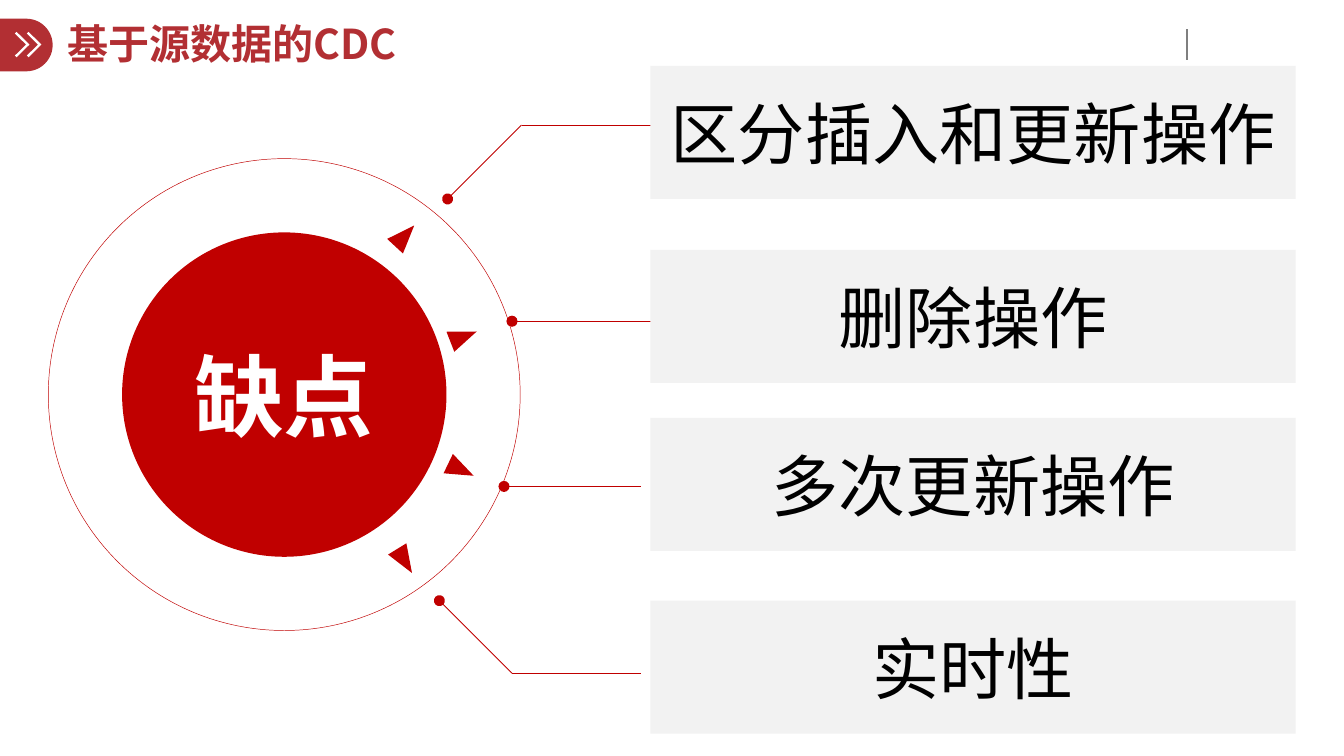
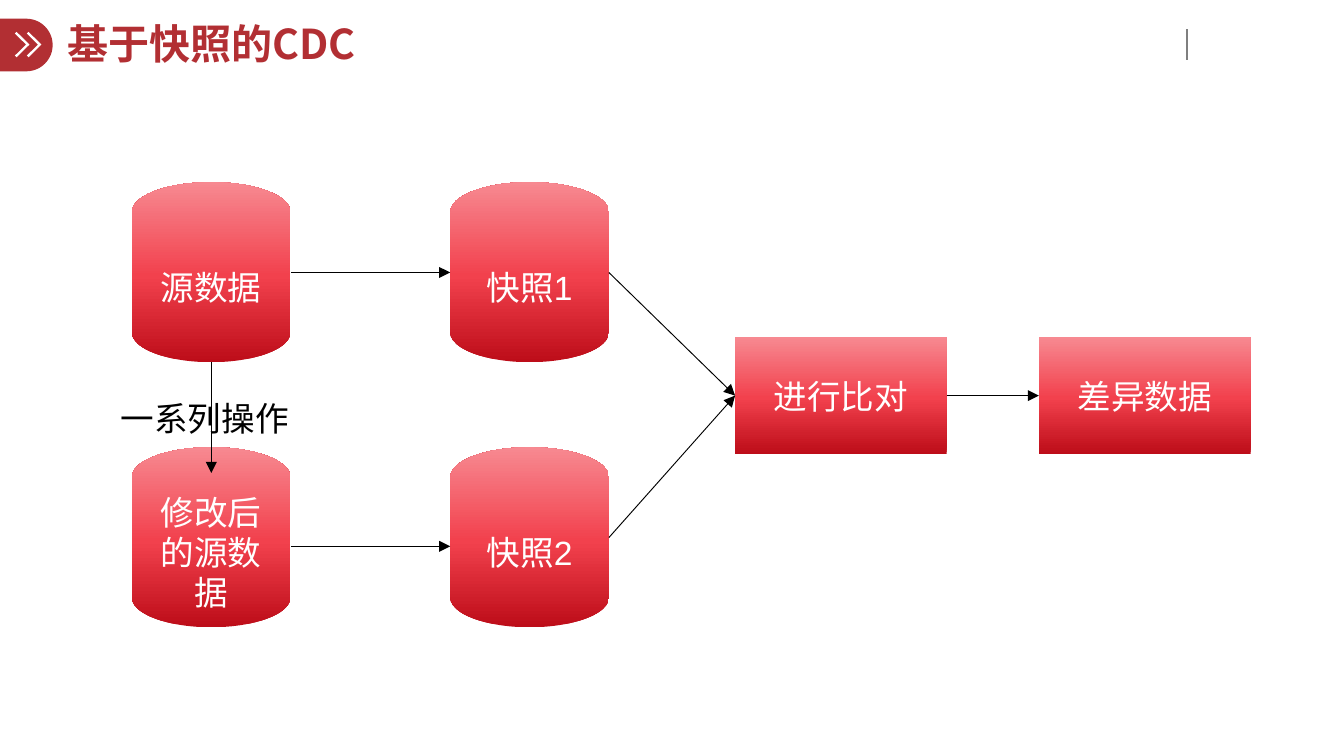
"""Build two slides on change data capture: drawbacks and the snapshot method."""
from copy import deepcopy

from lxml import etree
from pptx import Presentation
from pptx.dml.color import RGBColor
from pptx.enum.shapes import MSO_CONNECTOR, MSO_SHAPE
from pptx.enum.text import MSO_ANCHOR, MSO_AUTO_SIZE, PP_ALIGN
from pptx.oxml.ns import qn
from pptx.util import Pt

STRAIGHT = MSO_CONNECTOR.STRAIGHT
DELAY = MSO_SHAPE.FLOWCHART_DELAY
DISK = MSO_SHAPE.FLOWCHART_MAGNETIC_DISK
OVAL = MSO_SHAPE.OVAL
RECT = MSO_SHAPE.RECTANGLE
TRIANGLE = MSO_SHAPE.ISOSCELES_TRIANGLE
MIDDLE, TOP = MSO_ANCHOR.MIDDLE, MSO_ANCHOR.TOP
GROW, FIXED = MSO_AUTO_SIZE.SHAPE_TO_FIT_TEXT, MSO_AUTO_SIZE.NONE
LEFT, CENTER = PP_ALIGN.LEFT, PP_ALIGN.CENTER

COLORS = {
    "brand": "B22F33", "accent": "C00000", "panel": "F2F2F2", "rule": "7F7F7F",
    "white": "FFFFFF", "black": "000000",
    "deep": "BD0D19", "mid": "F2414D", "light": "F78991",
}
RGB = {name: RGBColor.from_string(value) for name, value in COLORS.items()}
GRADIENT = [(0, "deep"), (0.48, "mid"), (1, "light")]
CJK = "Noto Sans CJK SC"


def style(sp, fill=None, text="", size=18, color="white", font="Arial",
          bold=False, align=CENTER, anchor=MIDDLE):
    """Give a shape its flat or gradient fill and its text."""
    sp.shadow.inherit = False
    sp.line.fill.background()
    if fill == "gradient":
        sp.fill.gradient()
        sp.fill.gradient_angle = 90
        stops = sp._element.spPr.find(".//" + qn("a:gsLst"))
        stops.append(deepcopy(stops[0]))
        for stop, (position, name) in zip(sp.fill.gradient_stops, GRADIENT):
            stop.position = position
            stop.color.rgb = RGB[name]
    elif fill:
        sp.fill.solid()
        sp.fill.fore_color.rgb = RGB[fill]
    else:
        sp.fill.background()
    if text:
        tf = sp.text_frame
        tf.text = text
        tf.word_wrap = True
        tf.vertical_anchor = anchor
        p = tf.paragraphs[0]
        p.alignment = align
        r = p.runs[0]
        r.font.name = font
        r.font.size = Pt(size)
        r.font.bold = bold
        r.font.color.rgb = RGB[color]
        etree.SubElement(r._r.rPr, qn("a:ea"), typeface=CJK)
    return sp


def add_line(s, start, end, color, width, head=None, tail=None):
    """Draw a straight connector with optional end marks."""
    c = s.shapes.add_connector(STRAIGHT, *map(Pt, start + end))
    c.line.width = Pt(width)
    c.line.color.rgb = RGB[color]
    spPr = c._element.spPr
    for tag, kind in (("a:headEnd", head), ("a:tailEnd", tail)):
        if kind:
            etree.SubElement(spPr.find(qn("a:ln")), qn(tag), type=kind)
    etree.SubElement(spPr, qn("a:effectLst"))
    return c


prs = Presentation()
prs.slide_width, prs.slide_height = Pt(720), Pt(405)

slides = []
for title in ("基于源数据的CDC", "基于快照的CDC"):
    s = prs.slides.add_slide(prs.slide_layouts[5])
    slides.append(s)
    sp = s.shapes.title
    sp.left, sp.top, sp.width, sp.height = Pt(31), Pt(10.6), Pt(525.6), Pt(28.8)
    style(sp, None, title, 22, "brand", CJK, True, LEFT)
    sp.text_frame.auto_size = FIXED
    sp.text_frame.margin_left = sp.text_frame.margin_right = Pt(5.2)
    sp.text_frame.margin_top = sp.text_frame.margin_bottom = Pt(2.6)
    sp.text_frame.paragraphs[0].line_spacing = 0.9
    style(s.shapes.add_shape(DELAY, 0, Pt(10), Pt(28.2), Pt(28.2)), "brand")
    add_line(s, (635.8, 15.8), (635.8, 32.4), "rule", 1)
    for x in (14.4, 8):
        chevron = [(x + dx, 23.9 + dy) for dx, dy in
                   ((0, -5.9), (0.9, -6.8), (7.8, 0), (0.9, 6.8), (0, 5.9), (6, 0))]
        points = [(Pt(px), Pt(py)) for px, py in chevron]
        builder = s.shapes.build_freeform(*points[0])
        builder.add_line_segments(points[1:])
        style(builder.convert_to_shape(), "white")

s = slides[0]
for radius, fill in ((86.9, "accent"), (126.4, None)):
    sp = s.shapes.add_shape(OVAL, Pt(152.3 - radius), Pt(211.4 - radius),
                            Pt(2 * radius), Pt(2 * radius))
    style(sp, fill)
sp.line.color.rgb = RGB["accent"]
sp.line.width = Pt(0.25)

for x, y, angle in ((211, 118.8, 42.8), (242.6, 172.8, 68.7),
                    (241.2, 244.1, 115.6), (211, 293, 148.4)):
    sp = s.shapes.add_shape(TRIANGLE, Pt(x), Pt(y), Pt(11.5), Pt(15.1))
    sp.rotation = angle
    style(sp, "accent")

for route in ([(239.8, 106.6), (279.4, 67), (348.5, 67)],
              [(274.3, 172.1), (348.5, 172.1)],
              [(270, 260.6), (343.4, 260.6)],
              [(235.4, 321.8), (274.3, 360.7), (343.4, 360.7)]):
    head = "oval"
    for start, end in zip(route, route[1:]):
        add_line(s, start, end, "accent", 0.5, head)
        head = None

for y, text in ((35.3, "区分插入和更新操作"), (133.9, "删除操作"),
                (223.9, "多次更新操作"), (321.8, "实时性")):
    sp = s.shapes.add_shape(RECT, Pt(348.5), Pt(y), Pt(345.6), Pt(71.3))
    style(sp, "panel", text, 36, "black")
    sp.text_frame.margin_left = sp.text_frame.margin_right = Pt(9)
    sp.text_frame.margin_top = sp.text_frame.margin_bottom = Pt(5)

sp = s.shapes.add_textbox(Pt(92.2), Pt(182.9), Pt(119.5), Pt(58.3))
style(sp, None, "缺点", 48, "white", CJK, True, anchor=TOP)
tf = sp.text_frame
tf.margin_left = tf.margin_right = tf.margin_top = tf.margin_bottom = 0
tf.auto_size = GROW

s = slides[1]
for x, y, text in ((70.6, 97.6, "源数据"), (70.6, 239.6, "修改后的源数据"),
                   (241.2, 97.6, "快照1"), (241.2, 239.6, "快照2")):
    sp = s.shapes.add_shape(DISK, Pt(x), Pt(y), Pt(85), Pt(96.5))
    style(sp, "gradient", text)

steps = []
for x, text in ((393.8, "进行比对"), (556.6, "差异数据")):
    sp = s.shapes.add_shape(RECT, Pt(x), Pt(180.6), Pt(113.4), Pt(62.7))
    steps.append(style(sp, "gradient", text))
compare, difference = steps

for start, end in (((113.2, 193.9), (113.2, 253.4)),
                   ((156, 146), (241.2, 146)),
                   ((156, 292.7), (241.2, 292.7))):
    add_line(s, start, end, "black", 0.5, tail="triangle")
for y in (288, 146):
    c = add_line(s, (326.2, y), (393.8, 212), "black", 0.5, tail="triangle")
    c.end_connect(compare, 1)
c = add_line(s, (507.2, 212), (556.6, 212), "black", 0.5, tail="triangle")
c.begin_connect(compare, 3)
c.end_connect(difference, 1)

sp = s.shapes.add_textbox(Pt(57.6), Pt(209.5), Pt(105), Pt(29))
style(sp, None, "一系列操作", 18, "black", align=LEFT, anchor=TOP)
sp.text_frame.word_wrap = False
sp.text_frame.auto_size = GROW

prs.save("out.pptx")
